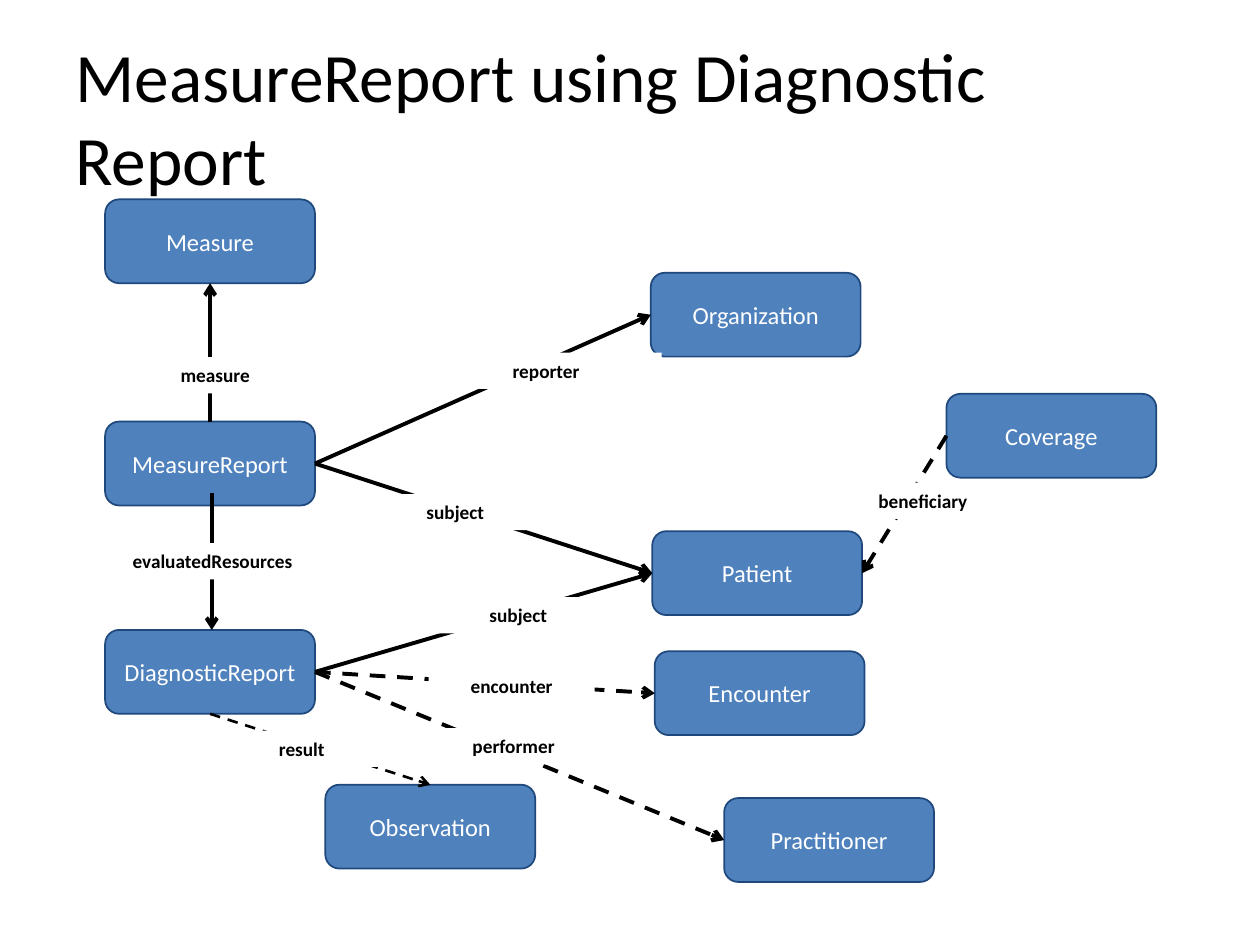
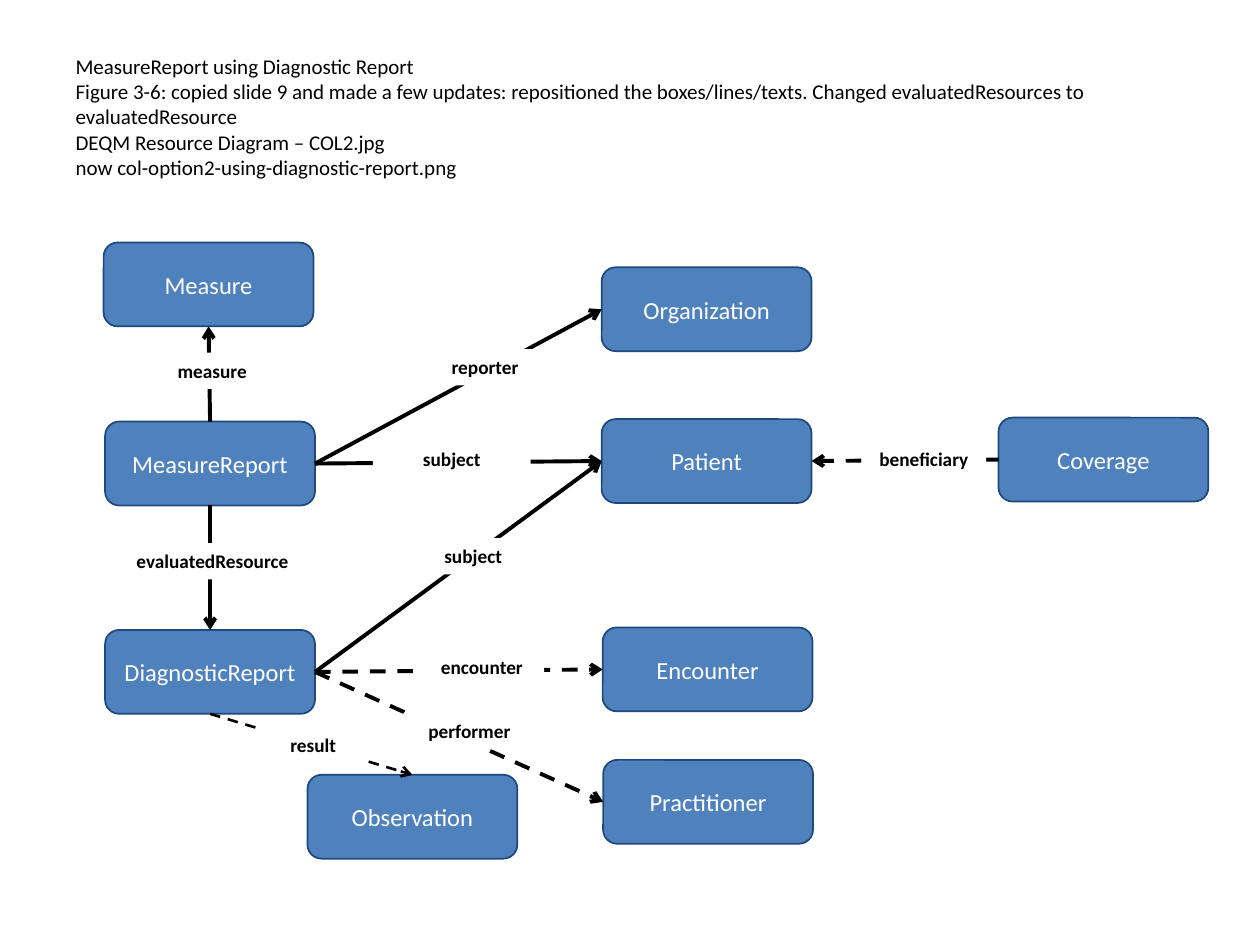
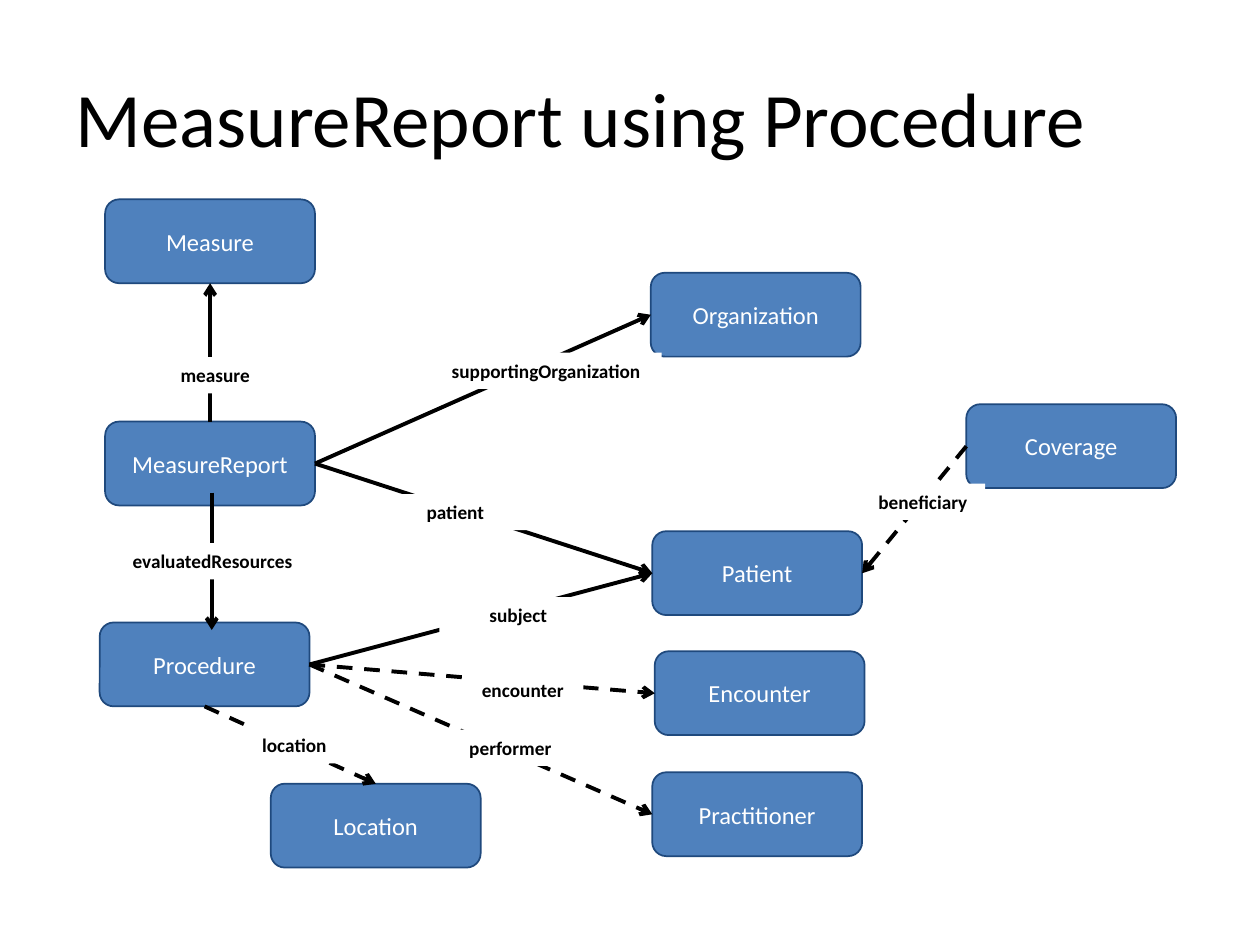
from lxml import etree
from pptx import Presentation
from pptx import util as u
from pptx.dml import color
from pptx.enum import dml, shapes, text
from pptx.oxml import ns

TOP, LEFT, BOTTOM, RIGHT = range(4)


def paint(value):
    return color.RGBColor.from_string(value)


class Diagram:
    FONT = "Calibri"
    INK, PAPER, FILL, EDGE = "000000", "FFFFFF", "4F81BD", "1F497D"
    BOX_WIDTH, BOX_HEIGHT, LABEL_HEIGHT = 4.23, 1.69, 0.73

    def __init__(self):
        self.deck = Presentation()
        self.deck.slide_width = u.Cm(25.4)
        self.deck.slide_height = u.Cm(19.05)
        self.page = None
        self.boxes = {}

    def new_page(self, title, size):
        self.page = self.deck.slides.add_slide(self.deck.slide_layouts[5])
        self.boxes = {}
        holder = self.page.shapes.title
        holder.left, holder.top = u.Cm(1.27), u.Cm(0.76)
        holder.width, holder.height = u.Cm(22.86), u.Cm(3.18)
        holder.text_frame.auto_size = text.MSO_AUTO_SIZE.NONE
        self.set_words(holder, title, size, self.INK, align=text.PP_ALIGN.LEFT)

    def set_words(self, shape, words, size, ink, bold=False,
                  align=text.PP_ALIGN.CENTER, anchor=text.MSO_ANCHOR.MIDDLE):
        frame = shape.text_frame
        frame.text = words
        frame.word_wrap = True
        frame.vertical_anchor = anchor
        for para in frame.paragraphs:
            para.alignment = align
            for span in para.runs:
                span.font.name = self.FONT
                span.font.size = u.Pt(size)
                span.font.bold = bold
                span.font.color.rgb = paint(ink)

    def block(self, preset, left, top, width, height, fill):
        shape = self.page.shapes.add_shape(
            preset, u.Cm(left), u.Cm(top), u.Cm(width), u.Cm(height))
        shape.shadow.inherit = False
        shape.fill.solid()
        shape.fill.fore_color.rgb = paint(fill)
        return shape

    def box(self, name, left, top):
        shape = self.block(shapes.MSO_SHAPE.FLOWCHART_ALTERNATE_PROCESS, left, top,
                           self.BOX_WIDTH, self.BOX_HEIGHT, self.FILL)
        shape.line.color.rgb = paint(self.EDGE)
        shape.line.width = u.Pt(1)
        self.set_words(shape, name, 14, self.PAPER)
        self.boxes[name] = shape

    def label(self, words, left, top, width):
        shape = self.block(shapes.MSO_SHAPE.RECTANGLE, left, top, width,
                           self.LABEL_HEIGHT, self.PAPER)
        shape.line.fill.background()
        self.set_words(shape, words, 11, self.INK, bold=True,
                       anchor=text.MSO_ANCHOR.TOP)
        shape.text_frame.auto_size = text.MSO_AUTO_SIZE.SHAPE_TO_FIT_TEXT

    def arrow(self, x1=0, y1=0, x2=0, y2=0, dashed=False, weight=2.25):
        line = self.page.shapes.add_connector(
            shapes.MSO_CONNECTOR.STRAIGHT, u.Cm(x1), u.Cm(y1), u.Cm(x2), u.Cm(y2))
        line.line.color.rgb = paint(self.INK)
        line.line.width = u.Pt(weight)
        if dashed:
            line.line.dash_style = dml.MSO_LINE.DASH
        properties = line._element.spPr
        stroke = properties.find(ns.qn("a:ln"))
        etree.SubElement(stroke, ns.qn("a:tailEnd"), type="arrow")
        etree.SubElement(properties, ns.qn("a:effectLst"))
        return line

    def link(self, source, source_side, target, target_side, **style):
        line = self.arrow(**style)
        line.begin_connect(self.boxes[source], source_side)
        line.end_connect(self.boxes[target], target_side)

    def draw(self, title, size, places, labels, hub, detail,
             detail_weight=2.25, glued=False):
        self.new_page(title, size)
        for name, place in places.items():
            self.box(name, *place)
        self.link("MeasureReport", TOP, "Measure", BOTTOM)
        if glued:
            self.link("MeasureReport", BOTTOM, hub, TOP)
        else:
            self.arrow(4.27, 9.93, 4.27, 12.7)
        for target in ("Organization", "Patient"):
            self.link("MeasureReport", RIGHT, target, LEFT)
        self.link(hub, RIGHT, "Patient", LEFT)
        for target in ("Encounter", "Practitioner"):
            self.link(hub, RIGHT, target, LEFT, dashed=True)
        self.link("Coverage", LEFT, "Patient", RIGHT, dashed=True)
        self.link(hub, BOTTOM, detail, TOP, dashed=True, weight=detail_weight)
        for label in labels.values():
            self.label(*label)


COMMON_PLACES = {
    "Measure": (2.12, 4.02),
    "MeasureReport": (2.12, 8.5),
    "Organization": (13.12, 5.5),
    "Patient": (13.15, 10.71),
    "Encounter": (13.2, 13.13),
}
REPORT_PLACES = COMMON_PLACES | {
    "DiagnosticReport": (2.12, 12.7),
    "Practitioner": (14.6, 16.09),
    "Coverage": (19.08, 7.94),
    "Observation": (6.56, 15.82),
}
MOVED_PLACES = REPORT_PLACES | {
    "Measure": (2.09, 4.89),
    "Organization": (12.13, 5.39),
    "Patient": (12.13, 8.45),
    "Encounter": (12.15, 12.65),
    "Practitioner": (12.16, 15.32),
    "Coverage": (20.13, 8.42),
    "Observation": (6.2, 15.62),
}
PROCEDURE_PLACES = COMMON_PLACES | {
    "Procedure": (2.01, 12.55),
    "Practitioner": (13.15, 15.57),
    "Coverage": (19.48, 8.15),
    "Location": (5.46, 15.8),
}

REPORT_LABELS = {
    "measure": ("measure", 2.75, 7.2, 3.18),
    "reporter": ("reporter", 8.68, 7.11, 4.66),
    "evaluated": ("evaluatedResources", 2.01, 10.95, 4.55),
    "report subject": ("subject", 7.59, 9.96, 3.18),
    "hub subject": ("subject", 8.86, 12.04, 3.18),
    "performer": ("performer", 8.64, 14.68, 3.43),
    "encounter": ("encounter", 8.64, 13.46, 3.35),
    "beneficiary": ("beneficiary", 17.35, 9.73, 2.51),
    "detail": ("result", 4.55, 14.73, 3.07),
}
MOVED_LABELS = {
    "measure": ("measure", 2.69, 7.11, 3.18),
    "reporter": ("reporter", 8.13, 7.04, 3.3),
    "evaluated": ("evaluatedResource", 2.01, 10.95, 4.55),
    "report subject": ("subject", 7.52, 8.89, 3.18),
    "hub subject": ("subject", 7.95, 10.85, 3.18),
    "performer": ("performer", 8.13, 14.38, 2.67),
    "encounter": ("encounter", 8.46, 13.08, 2.51),
    "beneficiary": ("beneficiary", 17.37, 8.89, 2.51),
    "detail": ("result", 5.26, 14.66, 2.11),
}
PROCEDURE_LABELS = REPORT_LABELS | {
    "reporter": ("supportingOrganization", 8.68, 7.11, 4.66),
    "report subject": ("patient", 7.59, 9.96, 3.18),
    "performer": ("performer", 8.46, 14.71, 3.66),
    "encounter": ("encounter", 9.32, 13.54, 2.44),
    "beneficiary": ("beneficiary", 17.35, 9.75, 2.51),
    "detail": ("location", 4.83, 14.66, 2.21),
}
UPDATE_NOTE = "\v".join([
    "MeasureReport using Diagnostic Report",
    "Figure 3-6: copied slide 9 and made a few updates: repositioned the "
    "boxes/lines/texts. Changed evaluatedResources to evaluatedResource ",
    "DEQM Resource Diagram – COL2.jpg ",
    "now col-option2-using-diagnostic-report.png",
])

diagram = Diagram()
diagram.draw("MeasureReport using Diagnostic Report", 39.6, REPORT_PLACES,
             REPORT_LABELS, "DiagnosticReport", "Observation", detail_weight=1.5)
diagram.draw(UPDATE_NOTE, 12, MOVED_PLACES, MOVED_LABELS,
             "DiagnosticReport", "Observation", detail_weight=1.5, glued=True)
diagram.draw("MeasureReport using Procedure", 44, PROCEDURE_PLACES,
             PROCEDURE_LABELS, "Procedure", "Location")
diagram.deck.save("out.pptx")
